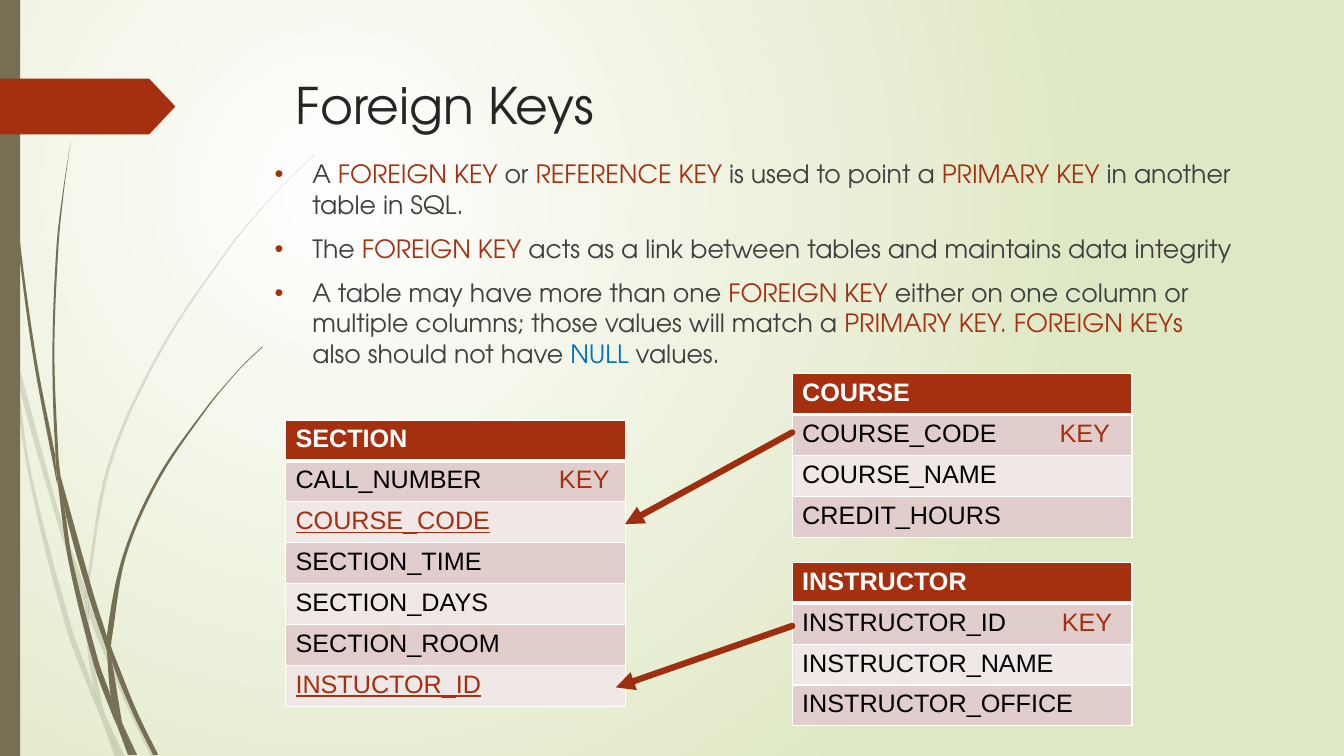
import dataclasses
import math

import pptx
import pptx.dml.color
import pptx.enum.shapes
import pptx.oxml
import pptx.oxml.ns
import pptx.util

Pt = pptx.util.Pt
Shape = pptx.enum.shapes.MSO_SHAPE
qn = pptx.oxml.ns.qn
NS = pptx.oxml.ns.nsdecls("a")


@dataclasses.dataclass(frozen=True)
class Theme:
    rust: str = "A53010"
    arrow: str = "9E2E0F"
    olive: str = "766F54"
    blue: str = "0070C0"
    white: str = "FFFFFF"
    black: str = "000000"
    lime: str = "DFE8C4"
    ink: str = "262626"
    gray: str = "404040"
    bands: tuple = ("F0E8E7", "E1CDCC")
    face: str = "TeX Gyre Adventor"
    grid: str = "Arial"
    head: int = 36
    body: int = 18


THEME = Theme()
UNIT = 0.72

PALE = [
    "11,350 9,322 0,282 0,299 10,344",
    "58,522 84,599 85,586 62,520 14,345 17,376",
    "92,607 88,596 88,610 123,694 150,751 155,751 127,692",
    "119,751 124,751 105,711",
    "93,683 70,619 31,469 17,376 11,350 28,470 65,621 92,693 101,714 99,707",
    "84,599 87,646 93,683 96,692 105,711 103,706 91,646 88,610 88,608",
    "88,584 110,462 160,349 229,245 268,198 290,175 312,154 312,153 289,175"
    " 268,197 228,244 158,348 107,461 85,584 85,586 88,596",
    "101,714 114,751 119,751",
    "88,608 88,610 88,596 85,586 84,599",
    "96,692 93,683 99,707 101,714 119,751 105,711",
]
DARK = [
    "7,110 17,233 33,355 56,477 57,481 55,457 55,453 36,355 19,232 8,109"
    " 5,48 4,0 3,0 4,48",
    "88,592 106,645 106,633 106,631 93,590 60,472 64,505",
    "113,649 110,641 111,656 132,708 152,749 157,749 136,706",
    "110,691 98,657 72,556 64,505 57,477 68,557 93,659 111,708 117,722 116,717",
    "60,472 58,453 54,349 58,245 63,193 70,141 62,193 56,245 52,349 55,449",
    "133,749 136,749 122,719",
    "57,477 64,505 60,472 55,449 55,453",
    "111,633 125,552 158,476 205,406 231,374 245,359 261,344 260,344 245,358"
    " 231,373 204,405 156,474 122,551 106,631 110,641",
    "117,722 127,749 131,749",
    "106,645 110,691 116,706 122,719 121,716 111,656 109,651",
    "106,645 109,651 111,656 110,641 106,631 106,633",
    "116,706 110,691 116,717 117,722 130,749 133,749 122,719",
]

POINTS = [
    "A *FOREIGN KEY *or *REFERENCE KEY* is used to point a *PRIMARY KEY*"
    " in another table in SQL.",
    "The *FOREIGN KEY *acts as a link between tables and maintains"
    " data integrity",
    "A table may have more than one *FOREIGN KEY *either on one column or"
    " multiple columns; those values will match a"
    " *PRIMARY KEY. FOREIGN KEYs *also should not have *NULL *values.",
]


def tint(hue):
    return pptx.dml.color.RGBColor.from_string(hue)


def paint(shape, hue):
    shape.shadow.inherit = False
    shape.fill.solid()
    shape.fill.fore_color.rgb = tint(hue)
    shape.line.fill.background()


def style(run, hue, size, face, bold=False, under=False):
    font = run.font
    font.name, font.size = face, Pt(size)
    font.bold, font.underline = bold, under
    font.color.rgb = tint(hue)


def slope(prev, here, after):
    start, stop = math.dist(prev, here), math.dist(here, after)
    dot = sum((b - a) * (c - b) for a, b, c in zip(prev, here, after))
    if dot < 0.8 * start * stop:
        return None
    span = math.dist(prev, after)
    return [(c - a) / span for a, c in zip(prev, after)]


def grip(here, other, lean, sign):
    if lean is None:
        return [a + (b - a) / 3 for a, b in zip(here, other)]
    reach = sign * math.dist(here, other) / 3
    return [a + reach * d for a, d in zip(here, lean)]


def curve(shape, knots):
    count = len(knots)
    leans = [slope(knots[i - 1], knots[i], knots[(i + 1) % count])
             for i in range(count)]
    for i, line in enumerate(shape._element.findall(".//" + qn("a:lnTo"))):
        j = (i + 1) % count
        dots = (grip(knots[i], knots[j], leans[i], 1),
                grip(knots[j], knots[i], leans[j], -1), knots[j])
        body = "".join(f'<a:pt x="{round(x - shape.left)}" '
                       f'y="{round(y - shape.top)}"/>' for x, y in dots)
        line.getparent().replace(line, pptx.oxml.parse_xml(
            f'<a:cubicBezTo {NS}>{body}</a:cubicBezTo>'))


def blade(slide, text, alpha):
    knots = [tuple(Pt(UNIT * int(n)) for n in pair.split(","))
             for pair in text.split()]
    form = slide.shapes.build_freeform(*knots[0])
    form.add_line_segments(knots[1:] + knots[:1])
    shape = form.convert_to_shape()
    curve(shape, knots)
    paint(shape, THEME.olive)
    if alpha < 100:
        node = shape.fill._xPr.find(".//" + qn("a:srgbClr"))
        node.append(pptx.oxml.parse_xml(
            f'<a:alpha {NS} val="{alpha * 1000}"/>'))


def scene(slide, wide, high):
    fill = slide.background.fill
    fill.gradient()
    for stop, hue in zip(fill.gradient_stops, (THEME.white, THEME.lime)):
        stop.color.rgb = tint(hue)
    grad = slide._element.find(".//" + qn("a:gradFill"))
    grad.replace(grad.find(qn("a:lin")), pptx.oxml.parse_xml(
        f'<a:path {NS} path="circle"><a:fillToRect l="50000" t="50000" '
        'r="100000" b="100000"/></a:path>'))
    for group, alpha in ((PALE, 20), (DARK, 100)):
        for text in group:
            blade(slide, text, alpha)
    bar = slide.shapes.add_shape(Shape.RECTANGLE, 0, 0, Pt(14.4), Pt(high))
    paint(bar, THEME.olive)
    flag = slide.shapes.add_shape(
        Shape.PENTAGON, 0, Pt(56.2), Pt(125.3), Pt(39.8))
    flag.adjustments[0] = 0.47
    paint(flag, THEME.rust)


def box(slide, x, y, wide, high):
    frame = slide.shapes.add_textbox(
        Pt(x), Pt(y), Pt(wide), Pt(high)).text_frame
    frame.word_wrap = True
    return frame


def title(slide, x, y, wide, high, text):
    frame = box(slide, x, y, wide, high)
    frame.text = text
    style(frame.paragraphs[0].runs[0], THEME.ink, THEME.head, THEME.face)


def notes(slide, x, y, wide, high, items):
    frame = box(slide, x, y, wide, high)
    frame.text = "\n".join(items)
    for para, item in zip(frame.paragraphs, items):
        para.text = ""
        para.space_before = Pt(10)
        props = para._p.get_or_add_pPr()
        props.set("marL", str(Pt(27)))
        props.set("indent", str(-Pt(27)))
        for mark in (f'<a:buClr {NS}><a:srgbClr val="{THEME.rust}"/></a:buClr>',
                     f'<a:buFont {NS} typeface="Arial"/>',
                     f'<a:buChar {NS} char="•"/>'):
            props.append(pptx.oxml.parse_xml(mark))
        for i, part in enumerate(item.split("*")):
            run = para.add_run()
            run.text = part
            hue = (THEME.gray, THEME.rust)[i % 2]
            style(run, THEME.blue if part == "NULL " else hue,
                  THEME.body, THEME.face)


def border(cell, row):
    props = cell._tc.get_or_add_tcPr()
    for side in "LRTB":
        thick = 3 if (row, side) in ((0, "B"), (1, "T")) else 1
        props.append(pptx.oxml.parse_xml(
            f'<a:ln{side} {NS} w="{Pt(thick)}"><a:solidFill><a:srgbClr '
            f'val="{THEME.white}"/></a:solidFill></a:ln{side}>'))


def entity(slide, x, y, wide, high, stop, rows, links=()):
    table = slide.shapes.add_table(
        len(rows), 1, Pt(x), Pt(y), Pt(wide), Pt(high * len(rows))).table
    for i, text in enumerate(rows):
        table.rows[i].height = Pt(high)
        cell = table.cell(i, 0)
        border(cell, i)
        cell.fill.solid()
        cell.fill.fore_color.rgb = tint(THEME.bands[i % 2] if i else THEME.rust)
        para = cell.text_frame.paragraphs[0]
        para.text = text
        link = text in links
        hue = THEME.rust if link else THEME.black
        style(para.runs[0], hue if i else THEME.white, THEME.body, THEME.grid,
              i == 0, link)
        if i == 1:
            para.runs[0].text = text + "\t"
            key = para.add_run()
            key.text = "KEY"
            style(key, THEME.rust, THEME.body, THEME.grid)
            para._p.get_or_add_pPr().append(pptx.oxml.parse_xml(
                f'<a:tabLst {NS}><a:tab pos="{Pt(stop)}" algn="l"/></a:tabLst>'))


def arrow(slide, *ends):
    line = slide.shapes.add_connector(
        pptx.enum.shapes.MSO_CONNECTOR.STRAIGHT, *map(Pt, ends))
    line.line.width = Pt(4.5)
    line.line.color.rgb = tint(THEME.arrow)
    edge = line.line._get_or_add_ln()
    edge.set("cap", "rnd")
    edge.append(pptx.oxml.parse_xml(f'<a:tailEnd {NS} type="triangle"/>'))
    line._element.spPr.append(pptx.oxml.parse_xml(f'<a:effectLst {NS}/>'))


def main():
    deck = pptx.Presentation()
    deck.slide_width, deck.slide_height = Pt(960), Pt(540)
    slide = deck.slides.add_slide(deck.slide_layouts[6])
    scene(slide, 960, 540)
    title(slide, 204.2, 49.5, 702, 100.8, "Foreign Keys")
    notes(slide, 189, 109.8, 702, 297.4, POINTS)
    wide, high = 242.8, 29.2
    entity(slide, 565.8, 266.9, wide, high, 183.8,
           ["COURSE", "COURSE_CODE", "COURSE_NAME", "CREDIT_HOURS"])
    entity(slide, 565.8, 401.7, wide, high, 185.5,
           ["INSTRUCTOR", "INSTRUCTOR_ID", "INSTRUCTOR_NAME",
            "INSTRUCTOR_OFFICE"])
    entity(slide, 203.9, 300, wide, high, 188.2,
           ["SECTION", "CALL_NUMBER", "COURSE_CODE", "SECTION_TIME",
            "SECTION_DAYS", "SECTION_ROOM", "INSTUCTOR_ID"],
           ("COURSE_CODE", "INSTUCTOR_ID"))
    arrow(slide, 565.9, 308.9, 446.4, 374.4)
    arrow(slide, 565.9, 447.1, 439.9, 491)
    deck.save("out.pptx")


if __name__ == "__main__":
    main()
